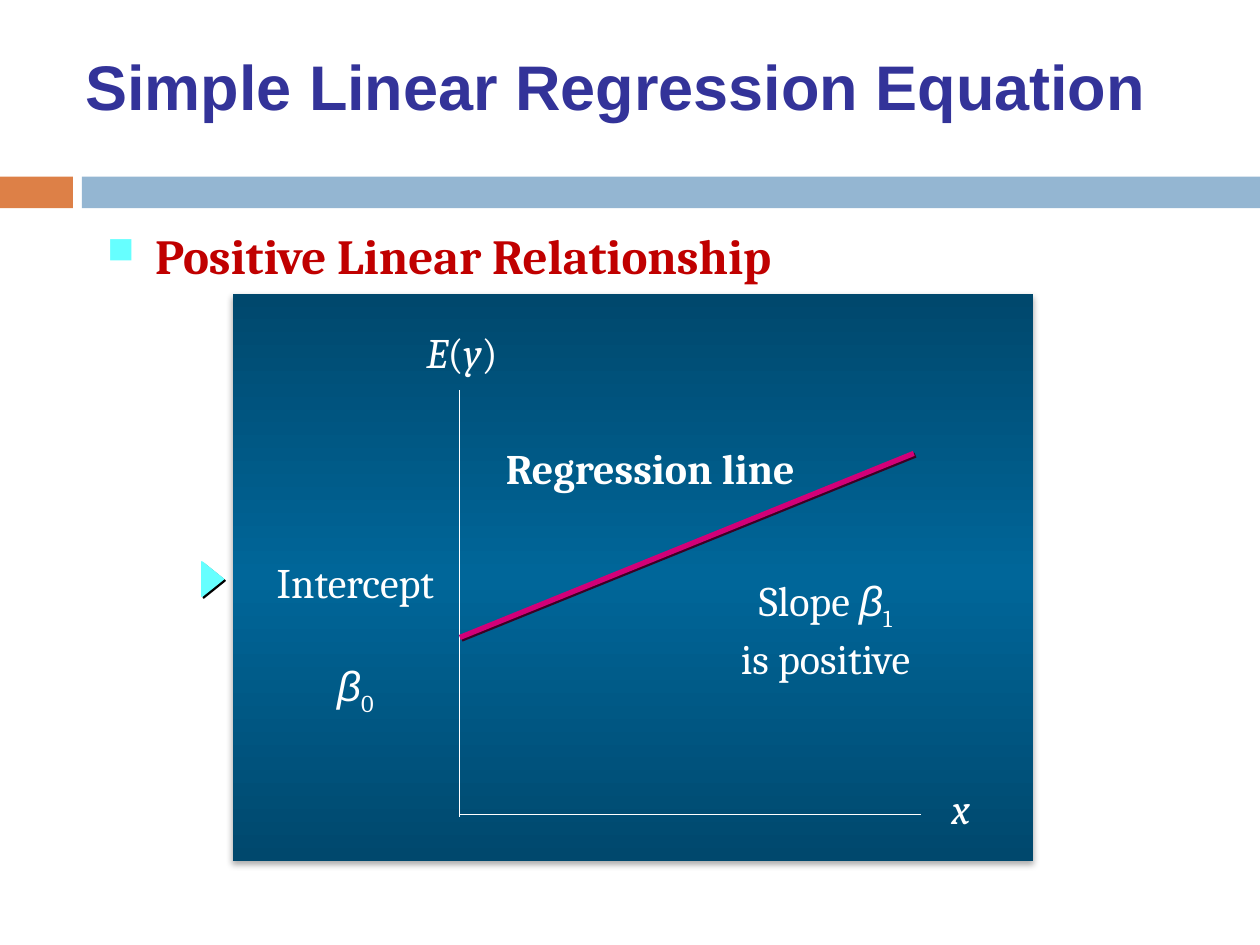
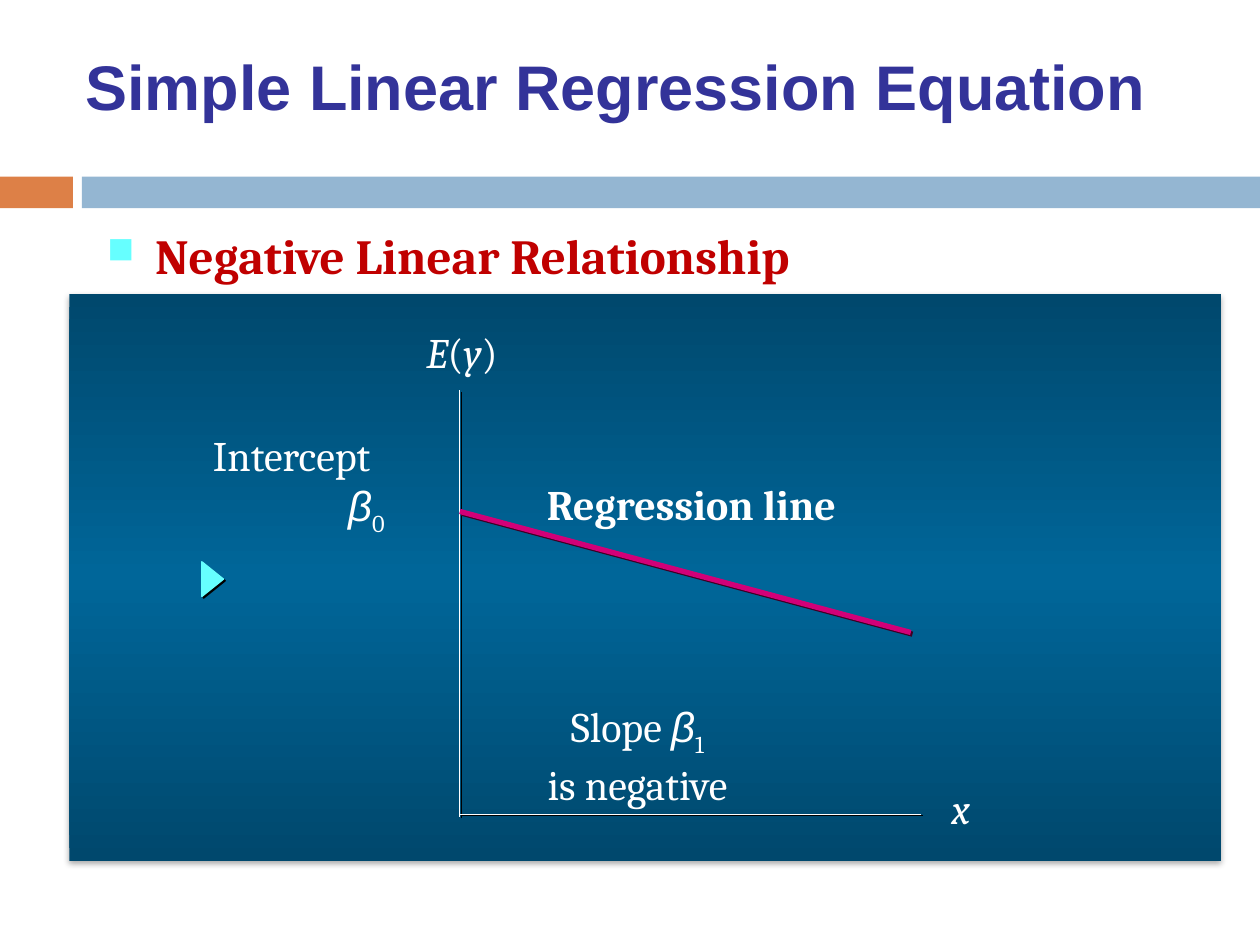
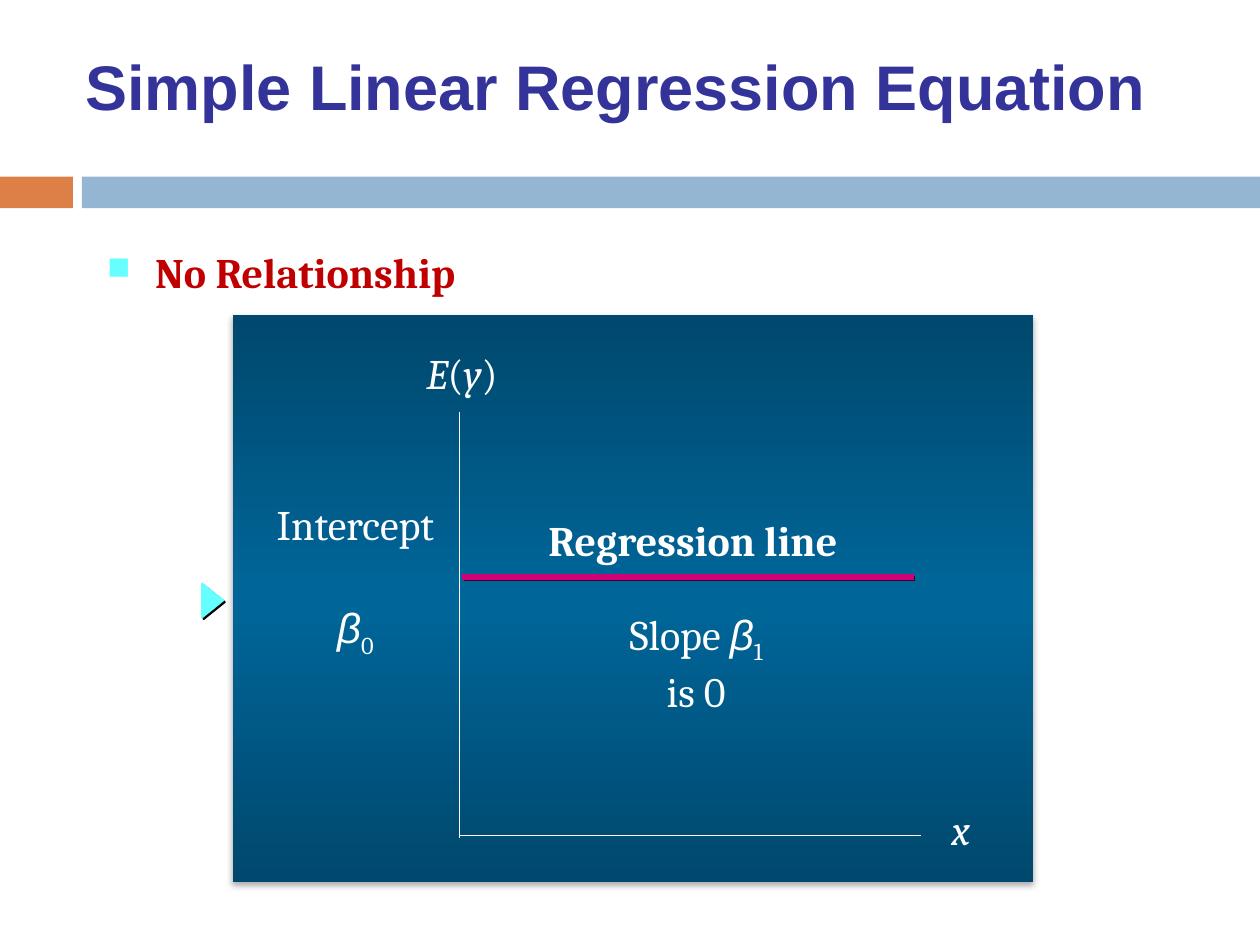
from lxml import etree
from pptx import Presentation
from pptx import util as u
from pptx.dml.color import RGBColor
from pptx.enum import shapes, text
from pptx.oxml import parse_xml
from pptx.oxml.ns import nsdecls, qn

# Content: positions in centimetres
TITLE = "Simple Linear Regression Equation"
NARROW_PANEL = (4.7, 16.13)   # left, width
WIDE_PANEL = (1.4, 23.22)
SLIDES = [
    dict(heading="Positive Linear Relationship", size=28,
         heading_box=(1.91, 4.42, 21.59, 12.8), panel=NARROW_PANEL, drop=0,
         line=(9.27, 12.85, 18.42, 9.14), line_label=(9.86, 8.79),
         slope="is positive", slope_box=(14.48, 11.46, 4.32, 2.29),
         intercept_box=(5.16, 11.1, 4.01, 2.29), beta_gap=30, beta_indent=0,
         axis_shadow=False),
    dict(heading="Negative Linear Relationship", size=28,
         heading_box=(1.91, 4.42, 15.67, 1.73), panel=WIDE_PANEL, drop=0,
         line=(9.27, 10.31, 18.36, 12.75), line_label=(10.69, 9.53),
         slope="is negative", slope_box=(10.59, 14, 4.52, 2.29),
         intercept_box=(2.59, 8.53, 6.58, 2.31), beta_gap=0, beta_indent=3.02,
         axis_shadow=True),
    dict(heading="No Relationship", size=24,
         heading_box=(1.91, 4.85, 21.59, 12.8), panel=NARROW_PANEL, drop=0.43,
         line=(9.32, 11.63, 18.42, 11.63), line_label=(10.72, 10.24),
         slope="is 0", slope_box=(12.27, 12.14, 3.53, 2.29),
         intercept_box=(5.16, 9.93, 4.01, 2.29), beta_gap=30, beta_indent=0,
         axis_shadow=False),
]

# Shared look
ORANGE, BLUE, NAVY, RED = "DD8047", "94B6D2", "333399", "C00000"
CYAN, MAGENTA, WHITE, BLACK = "66FFFF", "D20078", "FFFFFF", "000000"
PANEL_BLUE = "006699"
# Shadows: colour, opacity %, blur pt, distance pt, direction in degrees
PANEL_SHADOW = (BLACK, 32, 3.5, 2.2, 90)
HARD_SHADOW = (BLACK, 100, 0, 1.4, 45)
LINE_SHADOW = ("3C0023", 100, 0, 1.4, 45)
# Run styles: font, bold, italic, subscript
PLAIN = ("Cambria", False, False, False)
BOLD = ("Cambria", True, False, False)
ITALIC = ("Cambria", False, True, False)
GREEK = ("Arial", False, True, False)
SUB = ("Cambria", False, False, True)
HEADLINE = ("Arial", True, False, False)


def rgb(value):
    return RGBColor.from_string(value)


def cm(values):
    return [u.Cm(value) for value in values]


def set_shadow(shape, shadow=None):
    effects = etree.SubElement(shape._element.spPr, qn("a:effectLst"))
    if shadow:
        color, opacity, blur, distance, angle = shadow
        effects.append(parse_xml(
            f'<a:outerShdw {nsdecls("a")} blurRad="{u.Pt(blur)}" dist="{u.Pt(distance)}" '
            f'dir="{angle * 60000}" algn="ctr" rotWithShape="0"><a:srgbClr val="{color}">'
            f'<a:alpha val="{opacity * 1000}"/></a:srgbClr></a:outerShdw>'))


def add_block(page, kind, place, color, outline=None, shadow=None):
    block = page.shapes.add_shape(kind, *cm(place))
    block.fill.solid()
    block.fill.fore_color.rgb = rgb(color)
    if outline:
        block.line.color.rgb = rgb(outline)
        block.line.width = u.Pt(1)
    else:
        block.line.fill.background()
    set_shadow(block, shadow)
    return block


def add_line(page, ends, color, width, shadow=None):
    line = page.shapes.add_connector(shapes.MSO_CONNECTOR.STRAIGHT, *cm(ends))
    line.line.color.rgb = rgb(color)
    line.line.width = u.Pt(width)
    set_shadow(line, shadow)


def add_text(page, place, paragraphs, color=WHITE, size=24, centered=True, wrap=False):
    """Each paragraph is a list of (wording, style) spans."""
    box = page.shapes.add_textbox(*cm(place))
    frame = box.text_frame
    frame.word_wrap = wrap
    if centered:
        frame.auto_size = text.MSO_AUTO_SIZE.SHAPE_TO_FIT_TEXT
    for index, spans in enumerate(paragraphs):
        para = frame.add_paragraph() if index else frame.paragraphs[0]
        para.alignment = text.PP_ALIGN.CENTER if centered else text.PP_ALIGN.LEFT
        for wording, (font, bold, italic, subscript) in spans:
            span = para.add_run()
            span.text = wording
            span.font.name, span.font.size = font, u.Pt(size)
            span.font.bold, span.font.italic = bold, italic
            span.font.color.rgb = rgb(color)
            if subscript:
                span.font._element.set("baseline", "-25000")
    return frame.paragraphs


def add_heading(page, item):
    para = add_text(page, item["heading_box"], [[(item["heading"], BOLD)]],
                    RED, item["size"], centered=False, wrap=True)[0]
    props = para._p.get_or_add_pPr()
    props.set("marL", str(u.Cm(0.97)))
    props.set("indent", str(-u.Cm(0.97)))
    for bullet in (f'<a:buClr {nsdecls("a")}><a:srgbClr val="{CYAN}"/></a:buClr>',
                   f'<a:buSzPct {nsdecls("a")} val="75000"/>',
                   f'<a:buChar {nsdecls("a")} char="■"/>'):
        props.append(parse_xml(bullet))


def add_panel(page, left, width, top):
    panel = add_block(page, shapes.MSO_SHAPE.RECTANGLE, (left, top, width, 11.43),
                      PANEL_BLUE, shadow=PANEL_SHADOW)
    dark = '<a:shade val="46275"/>'
    stops = "".join(
        f'<a:gs pos="{position}"><a:srgbClr val="{PANEL_BLUE}">{shade}</a:srgbClr></a:gs>'
        for position, shade in ((0, dark), (50000, ""), (100000, dark)))
    solid = panel._element.spPr.find(qn("a:solidFill"))
    solid.getparent().replace(solid, parse_xml(
        f'<a:gradFill {nsdecls("a")} rotWithShape="1"><a:gsLst>{stops}</a:gsLst>'
        f'<a:lin ang="5400000" scaled="1"/></a:gradFill>'))


def add_axes(page, drop, shadow):
    add_line(page, (9.27, 7.87 + drop, 9.27, 16.46 + drop), WHITE, 0.5, shadow)
    add_text(page, (8.31, 6.45 + drop, 2.01, 1.27),
             [[("E", ITALIC), ("(", PLAIN), ("y", ITALIC), (")", PLAIN)]])
    add_line(page, (18.57, 16.41 + drop, 9.27, 16.41 + drop), WHITE, 0.5, shadow)
    add_text(page, (18.9, 15.65 + drop, 0.94, 1.27), [[("x", ITALIC)]])


def build_slide(deck, item):
    page = deck.slides.add_slide(deck.slide_layouts[6])
    drop = item["drop"]

    # Bands
    for left, width, color in ((0, 1.47, ORANGE), (1.65, 23.75, BLUE)):
        add_block(page, shapes.MSO_SHAPE.RECTANGLE, (left, 3.56, width, 0.64), color)

    # Heading and graph
    add_heading(page, item)
    add_panel(page, *item["panel"], 5.92 + drop)
    add_axes(page, drop, HARD_SHADOW if item["axis_shadow"] else None)
    add_line(page, item["line"], MAGENTA, 3, LINE_SHADOW)

    # Labels
    add_text(page, item["slope_box"],
             [[("Slope ", PLAIN), ("β", GREEK), ("1", SUB)], [(item["slope"], PLAIN)]])
    add_text(page, (*item["line_label"], 6.5, 1.27), [[("Regression line", BOLD)]])
    beta = add_text(page, item["intercept_box"],
                    [[("Intercept", PLAIN)], [("β", GREEK), ("0", SUB)]], wrap=True)[1]
    beta.space_before = u.Pt(item["beta_gap"])
    beta._p.get_or_add_pPr().set("marL", str(u.Cm(item["beta_indent"])))

    # Marker and title
    marker = add_block(page, shapes.MSO_SHAPE.ISOSCELES_TRIANGLE,
                       (3.94, 11.46 + drop, 0.69, 0.43), CYAN, CYAN, HARD_SHADOW)
    marker.rotation = 90
    add_text(page, (1.47, 0.84, 22.86, 3.18), [[(TITLE, HEADLINE)]],
             NAVY, 36, centered=False, wrap=True)


def main():
    deck = Presentation()
    deck.slide_width, deck.slide_height = cm((25.4, 19.05))
    for item in SLIDES:
        build_slide(deck, item)
    deck.save("out.pptx")


if __name__ == "__main__":
    main()
